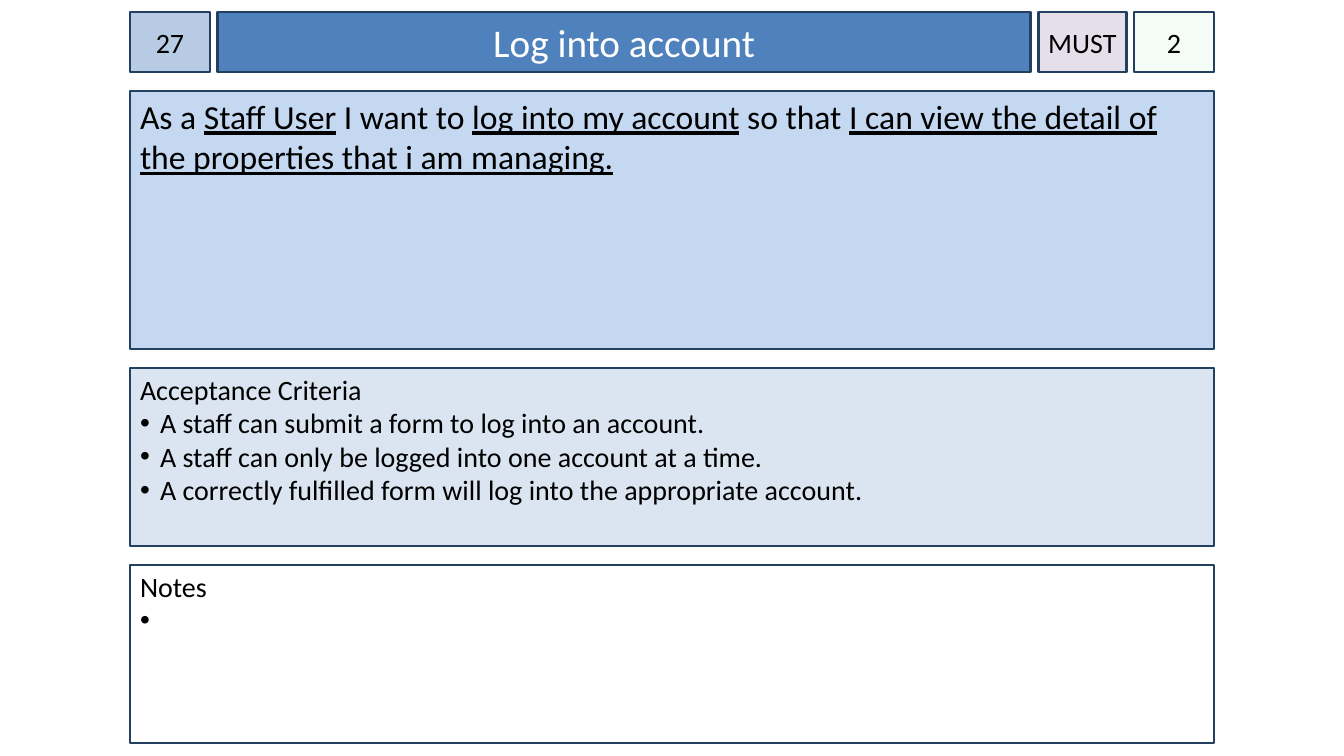
from dataclasses import dataclass

from lxml.etree import SubElement
from pptx import Presentation
from pptx.dml.color import RGBColor
from pptx.enum.shapes import MSO_SHAPE
from pptx.enum.text import MSO_ANCHOR, PP_ALIGN
from pptx.oxml.ns import qn
from pptx.util import Emu, Pt

SCALE = 914400 / 100.8


@dataclass(frozen=True)
class Theme:
    font: str = "Calibri"
    border: str = "244061"
    ink: str = "000000"
    paper: str = "FFFFFF"
    card_id: str = "B7CCE4"
    title: str = "4F81BD"
    priority: str = "E5DFEC"
    estimate: str = "CCF0CD"
    story: str = "C5D8F1"
    criteria: str = "DAE5F1"
    title_size: int = 28
    story_size: int = 24
    body_size: int = 20
    line_width: int = 2


THEME = Theme()


def px(n):
    return Emu(round(n * SCALE))


def set_all(obj, values):
    for name, value in values.items():
        setattr(obj, name, value)


def add_box(s, box, fill, side=10, top=5, anchor=MSO_ANCHOR.TOP):
    sp = s.shapes.add_shape(MSO_SHAPE.RECTANGLE, *map(px, box))
    sp.shadow.inherit = False
    sp.fill.solid()
    sp.fill.fore_color.rgb = RGBColor.from_string(fill)
    sp.line.color.rgb = RGBColor.from_string(THEME.border)
    sp.line.width = Pt(THEME.line_width)
    set_all(sp.text_frame, {
        "word_wrap": True,
        "vertical_anchor": anchor,
        "margin_left": px(side),
        "margin_right": px(side),
        "margin_top": px(top),
        "margin_bottom": px(5),
    })
    return sp


def add_run(p, text, size, color=THEME.ink, underline=False):
    r = p.add_run()
    r.text = text
    set_all(r.font, {"name": THEME.font, "size": Pt(size), "underline": underline})
    r.font.color.rgb = RGBColor.from_string(color)


def set_bullet(p):
    pPr = p._p.get_or_add_pPr()
    for name, value in {"marL": px(20), "indent": px(-20)}.items():
        pPr.set(name, str(value))
    color = SubElement(pPr, qn("a:buClr"))
    SubElement(color, qn("a:srgbClr"), val=THEME.ink)
    SubElement(pPr, qn("a:buFont"), typeface="Arial")
    SubElement(pPr, qn("a:buChar"), char="•")


def set_opacity(sp, percent):
    color = sp.fill._xPr.find(f"{qn('a:solidFill')}/{qn('a:srgbClr')}")
    SubElement(color, qn("a:alpha"), val=str(percent * 1000))


def add_label(s, box, text, fill, side=0, size=THEME.body_size, color=THEME.ink):
    sp = add_box(s, box, fill, side, anchor=MSO_ANCHOR.MIDDLE)
    p = sp.text_frame.paragraphs[0]
    p.alignment = PP_ALIGN.CENTER
    add_run(p, text, size, color)
    return sp


def add_story(s, box, parts):
    p = add_box(s, box, THEME.story).text_frame.paragraphs[0]
    p.alignment = PP_ALIGN.LEFT
    for i, text in enumerate(parts):
        add_run(p, text, THEME.story_size, underline=i % 2 == 1)


def add_list(s, box, fill, heading, items):
    tf = add_box(s, box, fill, top=4).text_frame
    for i, text in enumerate([heading, *items]):
        p = tf.add_paragraph() if i else tf.paragraphs[0]
        p.alignment = PP_ALIGN.LEFT
        if i:
            set_bullet(p)
        add_run(p, text, THEME.body_size)


def main():
    prs = Presentation()
    set_all(prs, {"slide_width": px(1344), "slide_height": px(756)})
    s = prs.slides.add_slide(prs.slide_layouts[6])

    left, top, width, header_height, panel_gap = 130, 12, 1084, 60, 19
    header = [
        (80, "27", THEME.card_id, {}),
        (813, "Log into account", THEME.title,
         {"side": 10, "size": THEME.title_size, "color": THEME.paper}),
        (88, "MUST", THEME.priority, {}),
        (80, "2", THEME.estimate, {}),
    ]
    header_gap = (width - sum(cell[0] for cell in header)) / (len(header) - 1)
    x = left
    for w, text, fill, options in header:
        label = add_label(s, (x, top, w, header_height), text, fill, **options)
        x += w + header_gap
    set_opacity(label, 20)

    panels = []
    y = top + header_height + panel_gap
    for height in (258, 178, 178):
        panels.append((left, y, width, height))
        y += height + panel_gap
    story, criteria, notes = panels

    add_story(s, story, [
        "As a ", "Staff User", " I want to ", "log into my account", " so that ",
        "I can view the detail of the properties that i am managing.",
    ])
    add_list(s, criteria, THEME.criteria, "Acceptance Criteria", [
        "A staff can submit a form to log into an account.",
        "A staff can only be logged into one account at a time.",
        "A correctly fulfilled form will log into the appropriate account.",
    ])
    add_list(s, notes, THEME.paper, "Notes", [" "])
    prs.save("out.pptx")


main()
